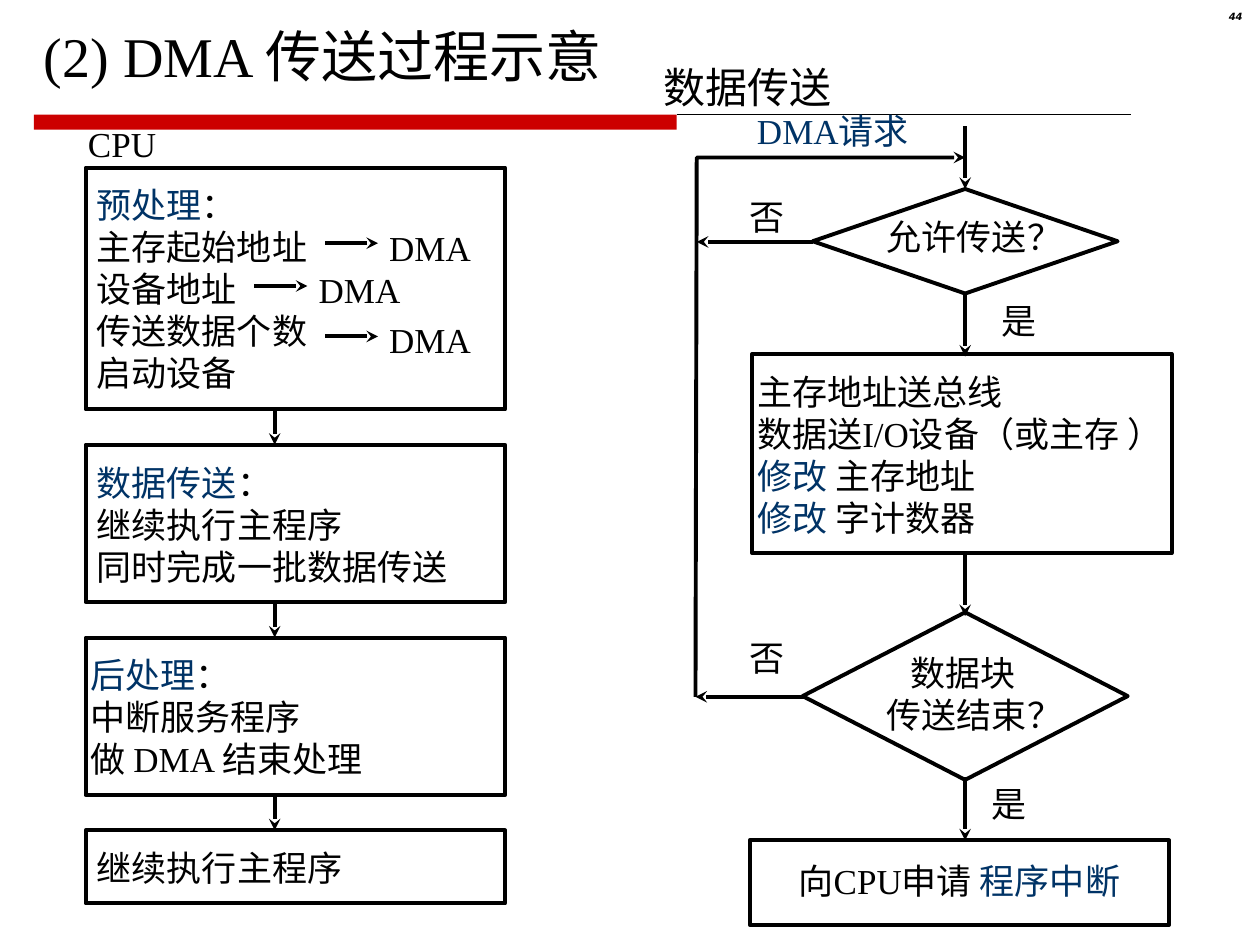
from dataclasses import dataclass

from lxml.etree import SubElement
from pptx import Presentation
from pptx.dml.color import RGBColor
from pptx.enum.shapes import MSO_CONNECTOR, MSO_SHAPE
from pptx.enum.text import MSO_AUTO_SIZE, PP_ALIGN
from pptx.oxml.ns import qn
from pptx.util import Inches, Pt


@dataclass(frozen=True)
class Theme:
    ink: RGBColor = RGBColor(0x00, 0x00, 0x00)
    accent: RGBColor = RGBColor(0x00, 0x33, 0x66)
    bar: RGBColor = RGBColor(0xCC, 0x00, 0x00)
    font: str = "Times New Roman"
    number_font: str = "DejaVu Sans"
    title: float = 32
    heading: float = 24
    body: float = 20
    number: float = 5.7
    stroke: float = 2.25
    hairline: float = 0.75


@dataclass(frozen=True)
class Box:
    left: float
    top: float
    width: float
    height: float

    def at(self, x, y):
        return Inches(self.left + x), Inches(self.top + y)


THEME = Theme()


def blue(text):
    return text, THEME.accent


def add_text(page, box, x, y, width, *lines, size=THEME.body, font=THEME.font,
             align=PP_ALIGN.LEFT, wrap=False, emphasis=False, spacing=None, indents=None):
    """Each line is a string or a list of spans; a span is a string or (text, color)."""
    height = len(lines) * size * 1.2 / 72 + 0.1
    shape = page.shapes.add_textbox(*box.at(x, y), Inches(width), Inches(height))
    frame = shape.text_frame
    frame.word_wrap = wrap
    frame.auto_size = MSO_AUTO_SIZE.SHAPE_TO_FIT_TEXT
    for index, line in enumerate(lines):
        para = frame.add_paragraph() if index else frame.paragraphs[0]
        para.alignment = align
        para.line_spacing = spacing
        if indents:
            para._p.get_or_add_pPr().set("marL", str(Inches(indents[index])))
        for part in [line] if isinstance(line, str) else line:
            text, color = (part, THEME.ink) if isinstance(part, str) else part
            span = para.add_run()
            span.text = text
            span.font.name = font
            span.font.size = Pt(size)
            span.font.color.rgb = color
            if emphasis:
                span.font.bold = span.font.italic = True


def outline(shape):
    shape.shadow.inherit = False
    shape.fill.background()
    shape.line.color.rgb = THEME.ink
    shape.line.width = Pt(THEME.stroke)


def add_outline(page, box, kind, x, y, width, height):
    outline(page.shapes.add_shape(kind, *box.at(x, y), Inches(width), Inches(height)))


def add_arrowhead(shape):
    SubElement(shape.line._get_or_add_ln(), qn("a:tailEnd"), type="stealth")


def add_line(page, box, start, end, width=THEME.stroke, arrow=True):
    line = page.shapes.add_connector(MSO_CONNECTOR.STRAIGHT, *box.at(*start), *box.at(*end))
    line.line.color.rgb = THEME.ink
    line.line.width = Pt(width)
    if arrow:
        add_arrowhead(line)
    SubElement(line._element.spPr, qn("a:effectLst"))


def add_header(page, box):
    # Red bar with a thin rule running on to the right
    bar = page.shapes.add_shape(MSO_SHAPE.RECTANGLE, *box.at(0.02, 0.79), Inches(5.1), Inches(0.12))
    bar.shadow.inherit = False
    bar.fill.solid()
    bar.fill.fore_color.rgb = THEME.bar
    bar.line.fill.background()
    add_line(page, box, (5.12, 0.79), (8.73, 0.79), width=THEME.hairline, arrow=False)
    # Title and slide number
    add_text(page, box, 0, 0, 5.08, "(2) DMA 传送过程示意", size=THEME.title, wrap=True)
    add_text(page, box, 9.12, -0.07, 0.59, "44", size=THEME.number, font=THEME.number_font,
             align=PP_ALIGN.RIGHT, wrap=True, emphasis=True, spacing=0.8)


def add_cpu_column(page, box):
    add_text(page, box, -0.08, -0.41, 0.74, "CPU")
    # Stages from top to bottom: height, text offset, text width, lines
    stages = [
        (1.92, -0.01, 1.87, [[blue("预处理"), "："], "主存起始地址", "设备地址", "传送数据个数", "启动设备"]),
        (1.25, -0.01, 2.98, [[blue("数据传送"), "："], "继续执行主程序", "同时完成一批数据传送"]),
        (1.25, -0.06, 2.5, [[blue("后处理"), "："], "中断服务程序", "做 DMA 结束处理"]),
        (0.58, -0.01, 2.15, ["继续执行主程序"]),
    ]
    gap, arrow_x = 0.28, 1.5
    y = 0
    for height, text_x, text_width, lines in stages:
        if y:
            add_line(page, box, (arrow_x, y - gap), (arrow_x, y))
        add_outline(page, box, MSO_SHAPE.RECTANGLE, 0, y, box.width, height)
        add_text(page, box, text_x, y + 0.08, text_width, *lines)
        y += height + gap
    # Values handed to the DMA: arrow start, arrow height, label height
    for x, arrow_y, label_y in [(1.9, 0.6, 0.42), (1.34, 0.94, 0.75), (1.9, 1.34, 1.15)]:
        add_line(page, box, (x, arrow_y), (x + 0.42, arrow_y))
        add_text(page, box, x + 0.41, label_y, 0.85, "DMA")


def add_transfer_column(page, box):
    axis = 2.14
    add_text(page, box, -0.35, -0.56, 1.53, "数据传送", size=THEME.heading)
    add_text(page, box, 0.39, -0.18, 1.47, [blue("DMA请求")])

    # Decisions and steps
    for kind, x, y, width, height in [
        (MSO_SHAPE.DIAMOND, 0.93, 0.5, 2.42, 0.83),
        (MSO_SHAPE.RECTANGLE, 0.45, 1.81, 3.33, 1.58),
        (MSO_SHAPE.DIAMOND, 0.85, 3.86, 2.58, 1.33),
        (MSO_SHAPE.RECTANGLE, 0.43, 5.67, 3.33, 0.67),
    ]:
        add_outline(page, box, kind, x, y, width, height)
    add_text(page, box, 1.42, 0.66, 1.59, "允许传送？")
    add_text(page, box, 0.39, 1.89, 3.55, "主存地址送总线", "数据送I/O设备（或主存 ）",
             [blue("修改"), " 主存地址"], [blue("修改"), " 字计数器"])
    add_text(page, box, 1.42, 4.12, 1.59, "数据块", "传送结束？", indents=(0.19, 0))
    add_text(page, box, 0.72, 5.77, 3, ["向CPU申请 ", blue("程序中断")], wrap=True)

    # Downward flow
    for y in (0, 1.33, 3.39, 5.17):
        add_line(page, box, (axis, y), (axis, y + 0.5))

    # Return loop
    add_line(page, box, (0.93, 0.92), (0.01, 0.92))
    add_line(page, box, (0.86, 4.53), (0, 4.53))
    builder = page.shapes.build_freeform(*box.at(0, 4.53))
    builder.add_line_segments([box.at(0.01, 0.25), box.at(axis, 0.25)], close=False)
    loop = builder.convert_to_shape()
    outline(loop)
    add_arrowhead(loop)

    # Answers
    for answer, x, y in [("否", 0.33, 0.5), ("否", 0.33, 4), ("是", 2.33, 1.33), ("是", 2.25, 5.16)]:
        add_text(page, box, x, y, 0.48, answer)


def main():
    deck = Presentation()
    deck.slide_width, deck.slide_height = Inches(10), Inches(7.5)
    page = deck.slides.add_slide(deck.slide_layouts[6])
    add_header(page, Box(0.25, 0.12, 9.71, 0.91))
    add_cpu_column(page, Box(0.68, 1.33, 3.33, 5.83))
    add_transfer_column(page, Box(5.52, 1, 3.78, 6.34))
    deck.save("out.pptx")


if __name__ == "__main__":
    main()
